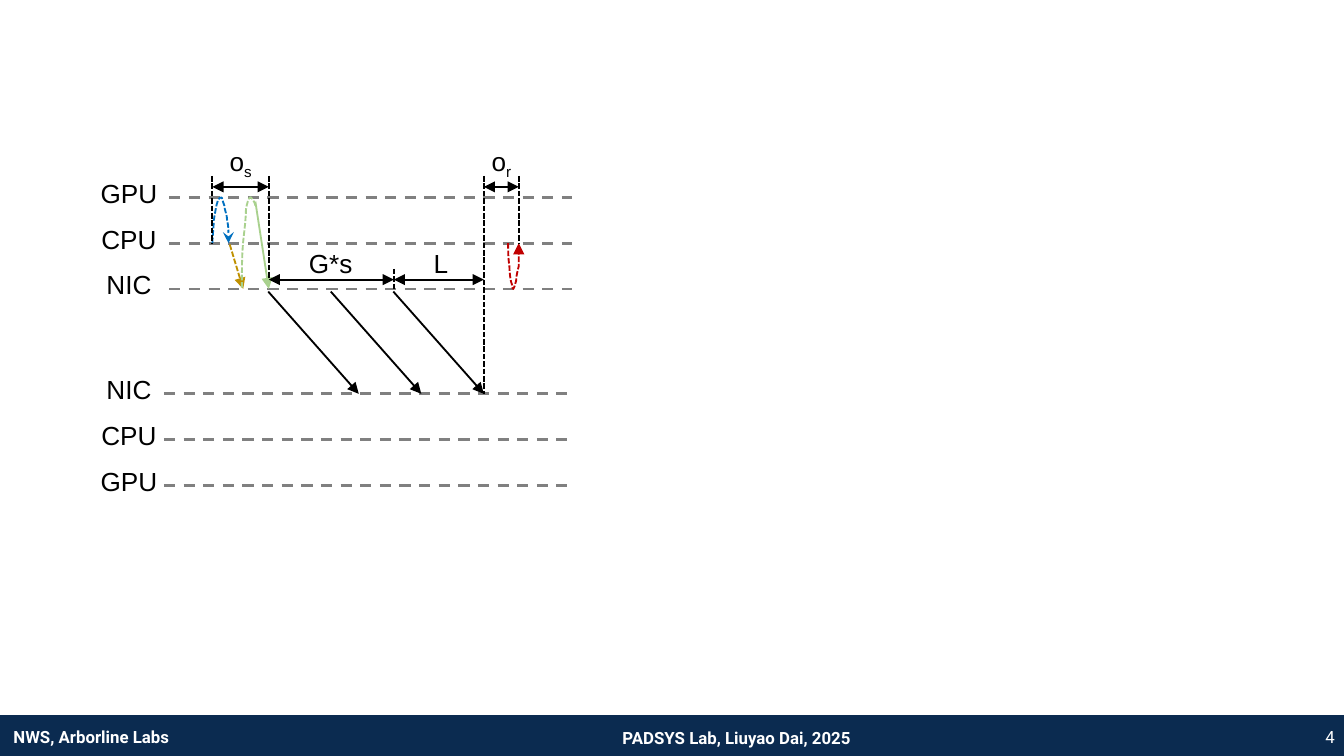
import lxml.etree
import pptx
import pptx.dml.color
import pptx.enum.dml
import pptx.enum.shapes
import pptx.enum.text
import pptx.oxml.ns
import pptx.util

Pt = pptx.util.Pt
qn = pptx.oxml.ns.qn
DASHES = {"dash": pptx.enum.dml.MSO_LINE.DASH,
          "fine": pptx.enum.dml.MSO_LINE.SQUARE_DOT}
ALIGN = pptx.enum.text.PP_ALIGN
NAVY, WHITE, BLACK, GRAY = "0B2B50", "FFFFFF", "000000", "808080"
BLUE, GREEN, GOLD, RED = "0070C0", "A9D18E", "BF9000", "C00000"

LANE_GAP = 24.5
SENDER_TOP, RECEIVER_TOP = 105.8, 211
SENDER_NIC = SENDER_TOP + 2 * LANE_GAP
SENDER_CPU = SENDER_TOP + LANE_GAP
SEND_START, SEND_END, GAP_END, ARRIVAL, RECEIVE_END = 113.8, 144, 211, 259.2, 277.9
MARK_TOP, OVERHEAD_Y, NETWORK_Y = 94.3, 100.1, 149.8

# Each curve is a start point followed by triples of cubic Bézier points.
GPU_CALL = [
    (113.8, 130.3),
    (113.8, 126), (114.5, 122.4), (114.5, 118.1),
    (115.2, 114.5), (115.9, 109.4), (116.6, 108),
    (117.4, 105.8), (118.1, 105.8), (118.8, 105.8),
    (118.8, 106.6), (119.5, 108), (120.2, 110.2),
    (120.2, 112.3), (121.7, 115.2), (121.7, 118.1),
    (122.4, 121.7), (122.4, 124.6), (122.4, 130.3),
]
GPU_FETCH = [
    (129.6, 154.1),
    (129.6, 145.4), (129.6, 136.8), (130.3, 129.6),
    (131, 123.1), (131.8, 116.6), (131.8, 112.3),
    (132.5, 108), (133.2, 106.6), (133.9, 105.8),
    (134.6, 105.1), (135.4, 107.3), (136.1, 108),
    (136.8, 108.7), (136.8, 110.2), (136.8, 110.9),
]
CPU_POLL = [
    (272.2, 130.3),
    (272.2, 134.6), (272.2, 138.2), (272.9, 142.6),
    (272.9, 146.2), (273.6, 151.2), (274.3, 152.6),
    (274.3, 154.8), (275, 154.8), (275, 154.8),
    (275.8, 154.1), (275.8, 152.6), (276.5, 150.5),
    (276.5, 148.3), (277.2, 145.4), (277.9, 142.6),
    (277.9, 139), (277.9, 136.1), (277.9, 130.3),
]


def color(hex_code):
    return pptx.dml.color.RGBColor.from_string(hex_code)


def style_line(shape, hex_code, width=1, dash=None, head=None, tail=None):
    line = shape.line
    line.color.rgb = color(hex_code)
    line.width = Pt(width)
    if dash:
        line.dash_style = DASHES[dash]
    outline = shape._element.spPr.find(qn("a:ln"))
    for tag, kind in (("a:headEnd", head), ("a:tailEnd", tail)):
        if kind:
            lxml.etree.SubElement(outline, qn(tag), type=kind)


def add_line(page, start, end, hex_code=BLACK, **style):
    straight = pptx.enum.shapes.MSO_CONNECTOR.STRAIGHT
    line = page.shapes.add_connector(straight, *map(Pt, start + end))
    style_line(line, hex_code, **style)
    lxml.etree.SubElement(line._element.spPr, qn("a:effectLst"))


def add_span(page, left, right, y):
    """Double-headed horizontal dimension arrow."""
    add_line(page, (left, y), (right, y), head="triangle", tail="triangle")


def add_curve(page, points, hex_code, tail=None):
    """Open outline whose points after the first are cubic Bézier triples."""
    start, *rest = [(Pt(x), Pt(y)) for x, y in points]
    builder = page.shapes.build_freeform(*start)
    builder.add_line_segments(rest, close=False)
    curve = builder.convert_to_shape()
    outline = next(curve._element.iter(qn("a:path")))
    segments = outline.findall(qn("a:lnTo"))
    for first in range(0, len(segments), 3):
        bezier = lxml.etree.SubElement(outline, qn("a:cubicBezTo"))
        for segment in segments[first:first + 3]:
            bezier.append(segment[0])
            outline.remove(segment)
    curve.fill.background()
    curve.shadow.inherit = False
    style_line(curve, hex_code, dash="fine", tail=tail)


def add_text(page, area, text, size, font, hex_code, align, subscript=""):
    box = page.shapes.add_textbox(*map(Pt, area))
    box.text_frame.word_wrap = True
    para = box.text_frame.paragraphs[0]
    para.alignment = align
    para.add_run().text = text
    if subscript:
        span = para.add_run()
        span.text = subscript
        span.font._element.set("baseline", "-25000")
    para.font.size = Pt(size)
    para.font.name = font
    para.font.color.rgb = color(hex_code)
    return box


def add_label(page, left, top, text, subscript="", height=24.5):
    box = add_text(page, (left, top, 49, height), text, 14, "Arial", BLACK,
                   ALIGN.CENTER, subscript)
    box.text_frame.auto_size = pptx.enum.text.MSO_AUTO_SIZE.SHAPE_TO_FIT_TEXT


def add_footer_text(page, left, width, text, align, bold=True):
    box = add_text(page, (left, 383.8, width, 21.6), text, 9, "Roboto", WHITE, align)
    frame = box.text_frame
    frame.vertical_anchor = pptx.enum.text.MSO_ANCHOR.MIDDLE
    frame.margin_left = frame.margin_right = Pt(5)
    frame.margin_top = frame.margin_bottom = Pt(2.9)
    frame.paragraphs[0].font.bold = bold
    return frame.paragraphs[0]


def add_footer(page):
    bar = page.shapes.add_shape(pptx.enum.shapes.MSO_SHAPE.RECTANGLE,
                                Pt(0), Pt(383.8), Pt(720), Pt(21.6))
    bar.shadow.inherit = False
    bar.fill.solid()
    bar.fill.fore_color.rgb = color(NAVY)
    style_line(bar, NAVY)
    add_footer_text(page, 2.2, 254.9, "NWS, Arborline Labs", ALIGN.LEFT)
    lab = add_footer_text(page, 275, 239, "PADSYS Lab, Liuyao Dai, 2025", ALIGN.CENTER)
    lab.line_spacing = 1.15
    add_footer_text(page, 555.8, 164.2, "4", ALIGN.RIGHT, bold=False)


def add_lanes(page, left, top, names):
    for index, name in enumerate(names):
        y = top + index * LANE_GAP
        add_line(page, (left, y), (left + 216, y), GRAY, width=1.5, dash="dash")
        add_label(page, 44.6, y - 14.4, name, height=28.8)


def add_messages(page):
    for x in (SEND_END, (SEND_END + GAP_END) / 2, GAP_END):
        add_line(page, (x - 0.3, 156.2), (x + 48.2, RECEIVER_TOP), tail="triangle")


def add_host_steps(page):
    add_curve(page, GPU_CALL, BLUE, tail="stealth")
    add_line(page, (123.1, 131), (130.3, SENDER_NIC), GOLD, dash="fine", tail="triangle")
    add_curve(page, GPU_FETCH, GREEN)
    add_line(page, (136.8, 108), (SEND_END, SENDER_NIC), GREEN, tail="triangle")
    add_curve(page, CPU_POLL, RED, tail="triangle")


def add_timings(page):
    marks = [(SEND_START, MARK_TOP, SENDER_CPU), (SEND_END, MARK_TOP, 149),
             (GAP_END, 144, 155.5), (ARRIVAL, MARK_TOP, RECEIVER_TOP),
             (RECEIVE_END, MARK_TOP, SENDER_CPU)]
    for x, top, bottom in marks:
        add_line(page, (x, top), (x, bottom), dash="fine")
    spans = [(SEND_START, SEND_END, OVERHEAD_Y), (SEND_END, GAP_END, NETWORK_Y),
             (GAP_END, ARRIVAL, NETWORK_Y), (ARRIVAL, RECEIVE_END, OVERHEAD_Y)]
    for left, right, y in spans:
        add_span(page, left, right, y)
    add_label(page, 104.4, 74.2, "o", "s")
    add_label(page, 244.1, 74.2, "o", "r")
    add_label(page, 152.6, 128.9, "G*s")
    add_label(page, 211.7, 128.9, "L")


def main():
    deck = pptx.Presentation()
    deck.slide_width, deck.slide_height = Pt(720), Pt(405)
    page = deck.slides.add_slide(deck.slide_layouts[6])
    add_footer(page)
    add_lanes(page, 90.7, SENDER_TOP, ["GPU", "CPU", "NIC"])
    add_lanes(page, 87.8, RECEIVER_TOP, ["NIC", "CPU", "GPU"])
    add_messages(page)
    add_host_steps(page)
    add_timings(page)
    deck.save("out.pptx")


if __name__ == "__main__":
    main()
